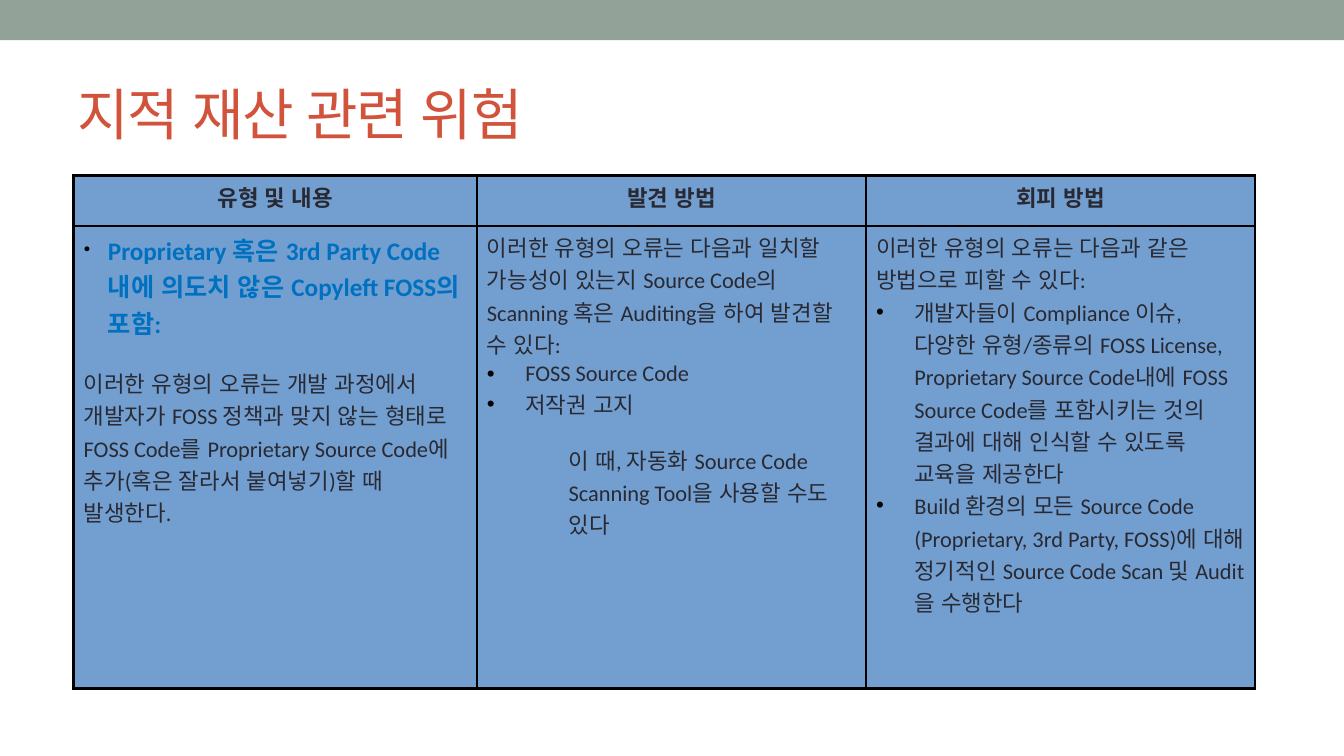
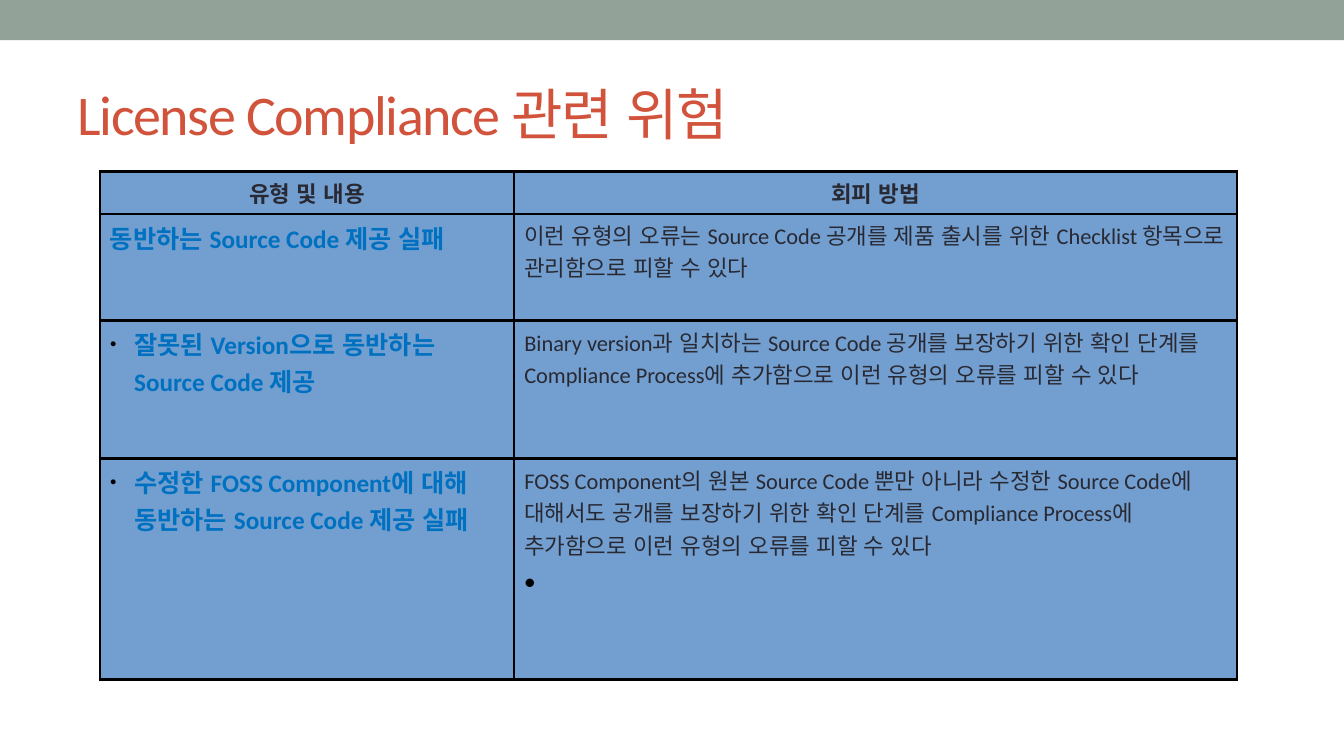
from dataclasses import dataclass

from lxml.etree import SubElement
from pptx import Presentation
from pptx.dml.color import RGBColor
from pptx.enum.lang import MSO_LANGUAGE_ID
from pptx.enum.shapes import MSO_SHAPE
from pptx.enum.text import MSO_ANCHOR, MSO_AUTO_SIZE, PP_ALIGN
from pptx.oxml import parse_xml
from pptx.oxml.ns import nsdecls, qn
from pptx.util import Inches, Pt

COLORS = {
    "band": "93A299",
    "title": "D2533C",
    "cell": "729FCF",
    "line": "000000",
    "text": "292934",
    "key": "0070C0",
}
BASE = {"name": "Calibri", "language_id": MSO_LANGUAGE_ID.KOREAN}
FONTS = {
    "title": {"size": Pt(40), "bold": False},
    "head": {"size": Pt(16), "bold": True},
    "key": {"size": Pt(18), "bold": True},
    "text": {"size": Pt(16), "bold": False},
    "line": {"size": Pt(13), "bold": False},
}
TITLE_BOX = {
    "left": Inches(0.67),
    "top": Inches(0.58),
    "width": Inches(12),
    "height": Inches(1.08),
}
TITLE_FRAME = {
    "auto_size": MSO_AUTO_SIZE.NONE,
    "vertical_anchor": MSO_ANCHOR.MIDDLE,
    "word_wrap": True,
}


@dataclass
class Para:
    text: str
    font: str = "text"
    left: float = 0
    hang: float = 0
    mark: str = ""
    scale: int = 100
    gap: float = 0


@dataclass
class Grid:
    title: str
    left: float
    top: float
    cols: list[float]
    rows: list[float]
    heads: list[str]
    body: list[list[list[Para]]]


def key(text: str) -> Para:
    return Para(text, "key", 0.24, 0.24, "●", 45)


def item(text: str) -> Para:
    return Para(text, left=0.38, hang=0.38, mark="•")


GRIDS = [
    Grid(
        "지적 재산 관련 위험", 0.73, 1.74, [4, 3.86, 3.86], [0.5, 4.59],
        ["유형 및 내용", "발견 방법", "회피 방법"],
        [[
            [
                key("Proprietary 혹은 3rd Party Code내에 의도치 않은 Copyleft FOSS의 포함:"),
                Para("이러한 유형의 오류는 개발 과정에서 개발자가 FOSS 정책과 맞지 않는 형태로 "
                     "FOSS Code를 Proprietary Source Code에 추가(혹은 잘라서 붙여넣기)할 때 "
                     "발생한다.", gap=19),
            ],
            [
                Para("이러한 유형의 오류는 다음과 일치할 가능성이 있는지 Source Code의 "
                     "Scanning 혹은 Auditing을 하여 발견할 수 있다:"),
                item("FOSS Source Code"),
                item("저작권 고지"),
                Para("이 때, 자동화 Source Code Scanning Tool을 사용할 수도 있다",
                     left=0.81, gap=17),
            ],
            [
                Para("이러한 유형의 오류는 다음과 같은 방법으로 피할 수 있다:"),
                item("개발자들이 Compliance 이슈, 다양한 유형/종류의 FOSS License, "
                     "Proprietary Source Code내에 FOSS Source Code를 포함시키는 것의 "
                     "결과에 대해 인식할 수 있도록 교육을 제공한다"),
                item("Build 환경의 모든 Source Code (Proprietary, 3rd Party, FOSS)에 "
                     "대해 정기적인 Source Code Scan 및 Audit을 수행한다"),
            ],
        ]],
    ),
    Grid(
        "License Compliance 관련 위험", 0.99, 1.7, [4.11, 7.17],
        [0.42, 1.06, 1.37, 2.19],
        ["유형 및 내용", "회피 방법"],
        [
            [
                [Para("동반하는 Source Code 제공 실패", "key")],
                [Para("이런 유형의 오류는 Source Code 공개를 제품 출시를 위한 Checklist "
                      "항목으로 관리함으로 피할 수 있다")],
            ],
            [
                [key("잘못된 Version으로 동반하는 Source Code 제공")],
                [Para("Binary version과 일치하는 Source Code 공개를 보장하기 위한 확인 단계를 "
                      "Compliance Process에 추가함으로 이런 유형의 오류를 피할 수 있다")],
            ],
            [
                [key("수정한 FOSS Component에 대해 동반하는 Source Code 제공 실패")],
                [
                    Para("FOSS Component의 원본 Source Code 뿐만 아니라 수정한 Source Code에 "
                         "대해서도 공개를 보장하기 위한 확인 단계를 Compliance Process에 "
                         "추가함으로 이런 유형의 오류를 피할 수 있다"),
                    Para("●", "line", gap=8),
                ],
            ],
        ],
    ),
]


def tint(name: str) -> RGBColor:
    return RGBColor.from_string(COLORS[name])


def apply(target, values: dict) -> None:
    for name, value in values.items():
        setattr(target, name, value)


def write(par, text: str, font: str):
    """Add a run in one of the named fonts."""
    run = par.add_run()
    run.text = text
    apply(run.font, BASE | FONTS[font])
    run.font.color.rgb = tint("text" if font == "head" else font)
    return run


def indent(par, para: Para) -> None:
    """Set the indents and the bullet of a paragraph."""
    props = par._p.get_or_add_pPr()
    props.set("marL", str(Inches(para.left)))
    props.set("indent", str(-Inches(para.hang)))
    if not para.mark:
        SubElement(props, qn("a:buNone"))
        return
    color = SubElement(props, qn("a:buClr"))
    SubElement(color, qn("a:srgbClr"), val=COLORS["line"])
    SubElement(props, qn("a:buSzPct"), val=str(para.scale * 1000))
    SubElement(props, qn("a:buFont"), typeface="Arial")
    SubElement(props, qn("a:buChar"), char=para.mark)


def border(cell) -> None:
    props = cell._tc.get_or_add_tcPr()
    for place, side in enumerate(("lnL", "lnR", "lnT", "lnB")):
        props.insert(place, parse_xml(
            f'<a:{side} {nsdecls("a")} w="{Pt(2)}"><a:solidFill>'
            f'<a:srgbClr val="{COLORS["line"]}"/></a:solidFill></a:{side}>'))


def fill_cell(cell, paras: list[Para], align: PP_ALIGN) -> None:
    cell.fill.solid()
    cell.fill.fore_color.rgb = tint("cell")
    border(cell)
    frame = cell.text_frame
    for place, para in enumerate(paras):
        par = frame.add_paragraph() if place else frame.paragraphs[0]
        indent(par, para)
        par.alignment = align
        if para.gap:
            par.space_before = Pt(para.gap)
        write(par, para.text, para.font)


def add_title(slide, text: str) -> None:
    title = slide.shapes.title
    apply(title, TITLE_BOX)
    apply(title.text_frame, TITLE_FRAME)
    par = title.text_frame.paragraphs[0]
    par.alignment = PP_ALIGN.LEFT
    run = write(par, text, "title")
    run._r.get_or_add_rPr().set("spc", "-100")


def add_grid(slide, grid: Grid) -> None:
    table = slide.shapes.add_table(
        len(grid.rows), len(grid.cols), Inches(grid.left), Inches(grid.top),
        Inches(sum(grid.cols)), Inches(sum(grid.rows))).table
    for col, width in zip(table.columns, grid.cols):
        col.width = Inches(width)
    for row, height in zip(table.rows, grid.rows):
        row.height = Inches(height)
    heads = [[Para(text, "head")] for text in grid.heads]
    for r, line in enumerate([heads, *grid.body]):
        align = PP_ALIGN.LEFT if r else PP_ALIGN.CENTER
        for c, paras in enumerate(line):
            fill_cell(table.cell(r, c), paras, align)


def add_band(deck, slide) -> None:
    """Draw the top band and move it to the master, behind everything."""
    band = slide.shapes.add_shape(
        MSO_SHAPE.RECTANGLE, 0, 0, deck.slide_width, Inches(0.4))
    band.shadow.inherit = False
    band.fill.solid()
    band.fill.fore_color.rgb = tint("band")
    band.line.fill.background()
    deck.slide_master.shapes._spTree.insert(2, band._element)


def main() -> None:
    deck = Presentation()
    deck.slide_width, deck.slide_height = Inches(13.33), Inches(7.5)
    for place, grid in enumerate(GRIDS):
        slide = deck.slides.add_slide(deck.slide_layouts[5])
        if not place:
            add_band(deck, slide)
        add_title(slide, grid.title)
        add_grid(slide, grid)
    deck.save("out.pptx")


if __name__ == "__main__":
    main()
